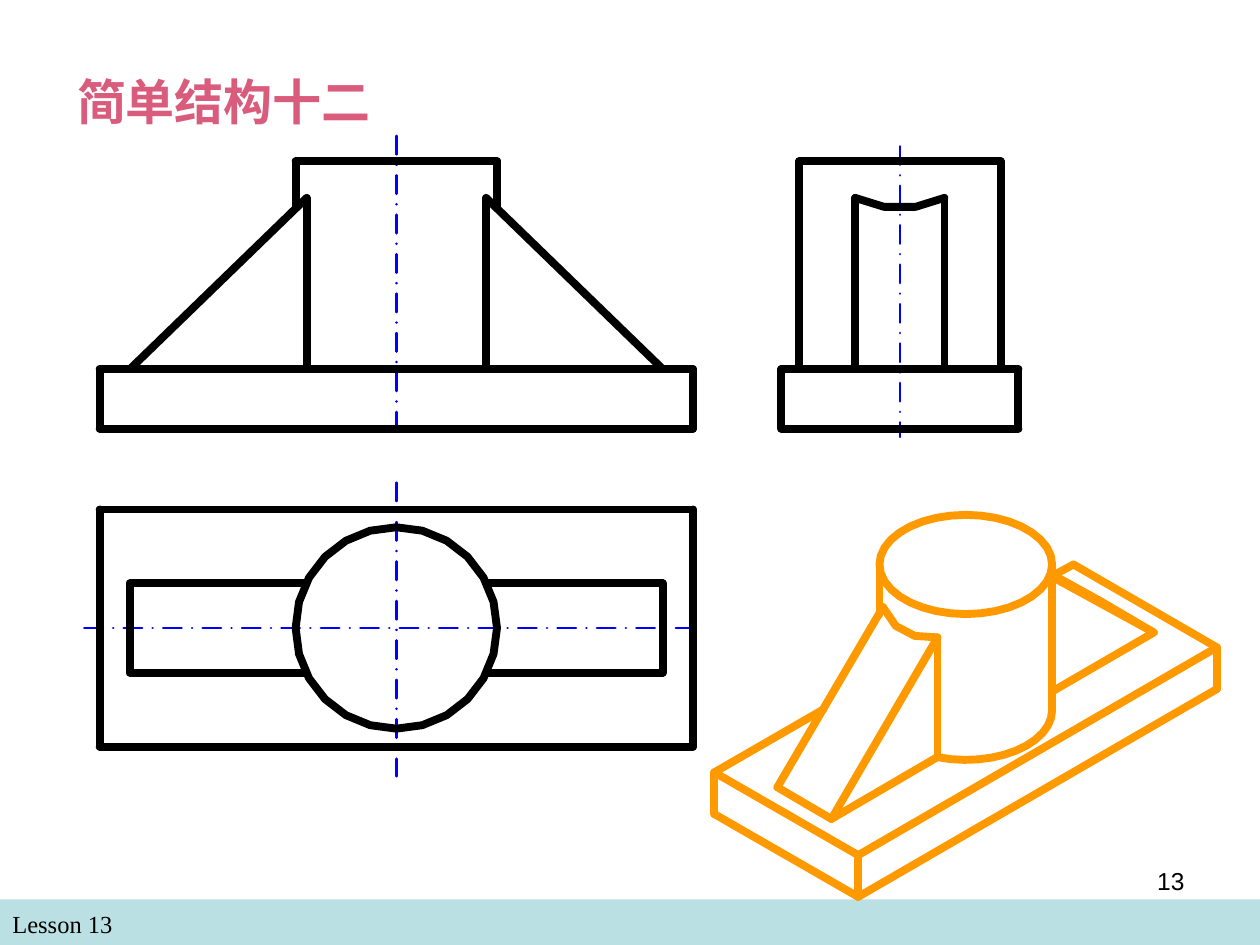
from dataclasses import dataclass
from itertools import pairwise
from math import cos, radians, sin

from lxml.etree import SubElement
from pptx import Presentation
from pptx.dml.color import RGBColor
from pptx.enum.dml import MSO_LINE
from pptx.enum.shapes import MSO_CONNECTOR, MSO_SHAPE
from pptx.enum.text import MSO_ANCHOR, MSO_AUTO_SIZE, PP_ALIGN
from pptx.oxml.ns import qn
from pptx.util import Cm, Pt


@dataclass(frozen=True)
class Theme:
    title: RGBColor = RGBColor(0xDA, 0x5C, 0x7D)
    outline: RGBColor = RGBColor(0, 0, 0)
    axis: RGBColor = RGBColor(0, 0, 0xFF)
    solid: RGBColor = RGBColor(0xFF, 0x99, 0)
    band: RGBColor = RGBColor(0xBB, 0xE0, 0xE3)
    serif: str = "Times New Roman"
    sans: str = "Arial"
    title_size: float = 28
    small_size: float = 14
    outline_width: float = 4.5
    axis_width: float = 1.5


THEME = Theme()

# Dimensions of the part, in centimetres, shared by its three views
LENGTH, DEPTH = 11.96, 4.78
SLAB_TOP, SLAB_BOTTOM = 4.19, 5.39
RADIUS = 2.03
RIB_FOOT = 5.37      # from the axis to the foot of a rib
RIB_ROOT = 1.81      # from the axis to where a rib meets the cylinder
RIB_HALF = 0.9
RIB_TOP, RIB_CUT = 0.74, 0.94


class View:
    """Draws strokes in centimetres relative to an origin on the slide."""

    def __init__(self, slide, left, top, color):
        self.shapes = slide.shapes
        self.left, self.top, self.color = left, top, color

    def place(self, point):
        return Cm(self.left + point[0]), Cm(self.top + point[1])

    def format_line(self, shape, color, width):
        shape.line.color.rgb = color
        shape.line.width = Pt(width)
        properties = shape._element.spPr
        properties.find(qn("a:ln")).set("cap", "rnd")
        SubElement(properties, qn("a:effectLst"))

    def edges(self, *points):
        """Joins the points one after another with straight edges."""
        for start, end in pairwise(points):
            connector = self.shapes.add_connector(
                MSO_CONNECTOR.STRAIGHT, *self.place(start), *self.place(end))
            self.format_line(connector, self.color, THEME.outline_width)

    def rectangle(self, left, top, right, bottom):
        self.edges((left, top), (right, top), (right, bottom),
                   (left, bottom), (left, top))

    def axis(self, start, end):
        connector = self.shapes.add_connector(
            MSO_CONNECTOR.STRAIGHT, *self.place(start), *self.place(end))
        self.format_line(connector, THEME.axis, THEME.axis_width)
        connector.line.dash_style = MSO_LINE.LONG_DASH_DOT

    def curve(self, points, close=False):
        first, *rest = [self.place(point) for point in points]
        builder = self.shapes.build_freeform(*first)
        builder.add_line_segments(rest, close=close)
        shape = builder.convert_to_shape()
        shape.fill.background()
        self.format_line(shape, self.color, THEME.outline_width)


def arc(x, y, radius_x, radius_y, end_angle, steps):
    angles = [radians(end_angle * step / steps) for step in range(steps + 1)]
    return [(x + radius_x * cos(a), y + radius_y * sin(a)) for a in angles]


def write(shape, text, *, size, color, font, bold=False, align=PP_ALIGN.LEFT):
    frame = shape.text_frame
    frame.word_wrap = True
    frame.auto_size = MSO_AUTO_SIZE.NONE
    frame.vertical_anchor = MSO_ANCHOR.TOP
    paragraph = frame.paragraphs[0]
    paragraph.alignment = align
    paragraph.space_before = Pt(0)
    run = paragraph.add_run()
    run.text = text
    run.font.size, run.font.name, run.font.bold = Pt(size), font, bold
    run.font.color.rgb = color


def add_title(slide, left, top, width, height):
    title = slide.shapes.title
    title.left, title.top = Cm(left), Cm(top)
    title.width, title.height = Cm(width), Cm(height)
    write(title, "简单结构十二", size=THEME.title_size, color=THEME.title,
          font=THEME.serif, bold=True)


def add_footer(slide, left, top, width, height):
    band = slide.shapes.add_shape(
        MSO_SHAPE.RECTANGLE, Cm(left), Cm(top), Cm(width), Cm(height))
    band.shadow.inherit = False
    band.fill.solid()
    band.fill.fore_color.rgb = THEME.band
    band.line.fill.background()
    lesson = slide.shapes.add_textbox(
        Cm(left), Cm(top + 0.08), Cm(12.27), Cm(0.86))
    write(lesson, "Lesson 13", size=THEME.small_size, color=THEME.outline,
          font=THEME.serif)
    number = slide.shapes.add_textbox(
        Cm(left + 18.21), Cm(top - 0.79), Cm(5.92), Cm(1.32))
    write(number, "13", size=THEME.small_size, color=THEME.outline,
          font=THEME.sans, align=PP_ALIGN.RIGHT)


def add_front_view(slide, left, top):
    view = View(slide, left, top, THEME.outline)
    middle = LENGTH / 2
    view.axis((middle, -0.51), (middle, 5.61))
    view.rectangle(0, SLAB_TOP, LENGTH, SLAB_BOTTOM)
    for side in (-1, 1):
        root, rim = middle + side * RIB_ROOT, middle + side * RADIUS
        view.edges((middle, 0), (rim, 0), (rim, RIB_CUT))
        view.edges((middle + side * RIB_FOOT, SLAB_TOP), (root, RIB_TOP),
                   (root, SLAB_TOP))


def add_side_view(slide, left, top):
    view = View(slide, left, top, THEME.outline)
    middle = DEPTH / 2
    view.axis((middle, -0.3), (middle, 5.56))
    view.rectangle(0, SLAB_TOP, DEPTH, SLAB_BOTTOM)
    view.edges((middle - RADIUS, SLAB_TOP), (middle - RADIUS, 0),
               (middle + RADIUS, 0), (middle + RADIUS, SLAB_TOP))
    for x in (middle - RIB_HALF, middle + RIB_HALF):
        view.edges((x, RIB_TOP), (x, SLAB_TOP))
    view.curve([(middle - RIB_HALF, RIB_TOP), (middle - 0.32, RIB_CUT - 0.02),
                (middle + 0.32, RIB_CUT - 0.02), (middle + RIB_HALF, RIB_TOP)])


def add_plan_view(slide, left, top):
    view = View(slide, left, top, THEME.outline)
    x, y = LENGTH / 2, DEPTH / 2
    view.axis((x, -0.54), (x, 5.38))
    view.axis((-0.31, y), (LENGTH + 0.18, y))
    view.rectangle(0, 0, LENGTH, DEPTH)
    for side in (-1, 1):
        root, foot = x + side * RIB_ROOT, x + side * RIB_FOOT
        view.edges((root, y - RIB_HALF), (foot, y - RIB_HALF),
                   (foot, y + RIB_HALF), (root, y + RIB_HALF))
    view.curve(arc(x, y, RADIUS, RADIUS, 360, 24)[:-1], close=True)


def add_solid_view(slide, left, top):
    view = View(slide, left, top, THEME.solid)
    thickness = 0.84
    corners = [(0, 5.21), (2.9, 6.88), (10.13, 2.69)]
    lower = [(x, y + thickness) for x, y in corners]
    view.edges(*corners)
    view.edges(*lower)
    for upper_corner, lower_corner in zip(corners, lower):
        view.edges(upper_corner, lower_corner)
    view.edges(corners[0], (2.2, 3.94))
    view.edges(corners[-1], (7.24, 1.02), (6.83, 1.24))

    x, rim, base, radius_x, radius_y = 5.07, 1.02, 3.96, 1.74, 1
    view.curve(arc(x, rim, radius_x, radius_y, 360, 36)[:-1], close=True)
    view.curve(arc(x, base, radius_x, radius_y, 109, 12))
    view.edges((x - radius_x, rim), (x - radius_x, 2.03))
    right = x + radius_x
    view.edges((right, rim), (right, base))

    peak, foot, near_foot, near_peak = (3.4, 1.88), (1.27, 5.51), (2.36, 6.15), (4.5, 2.49)
    view.edges(peak, foot, near_foot, near_peak, (4.5, 4.9), near_foot)
    view.curve([peak, (3.66, 2.26), (4.04, 2.46), near_peak])
    far_foot = (8.86, 2.39)
    view.edges((right, 1.22), (7.77, 1.75), far_foot)
    view.edges((right, 1.27), far_foot, (right, 3.58))


def main():
    presentation = Presentation()
    presentation.slide_width, presentation.slide_height = Cm(25.4), Cm(19.05)
    slide = presentation.slides.add_slide(presentation.slide_layouts[5])
    add_footer(slide, 0, 18.13, 25.4, 0.92)
    add_front_view(slide, 2.01, 3.25)
    add_side_view(slide, 15.75, 3.25)
    add_plan_view(slide, 2.01, 10.27)
    add_solid_view(slide, 14.4, 10.36)
    add_title(slide, 1.3, 1.32, 7.59, 1.45)
    presentation.save("out.pptx")


if __name__ == "__main__":
    main()
